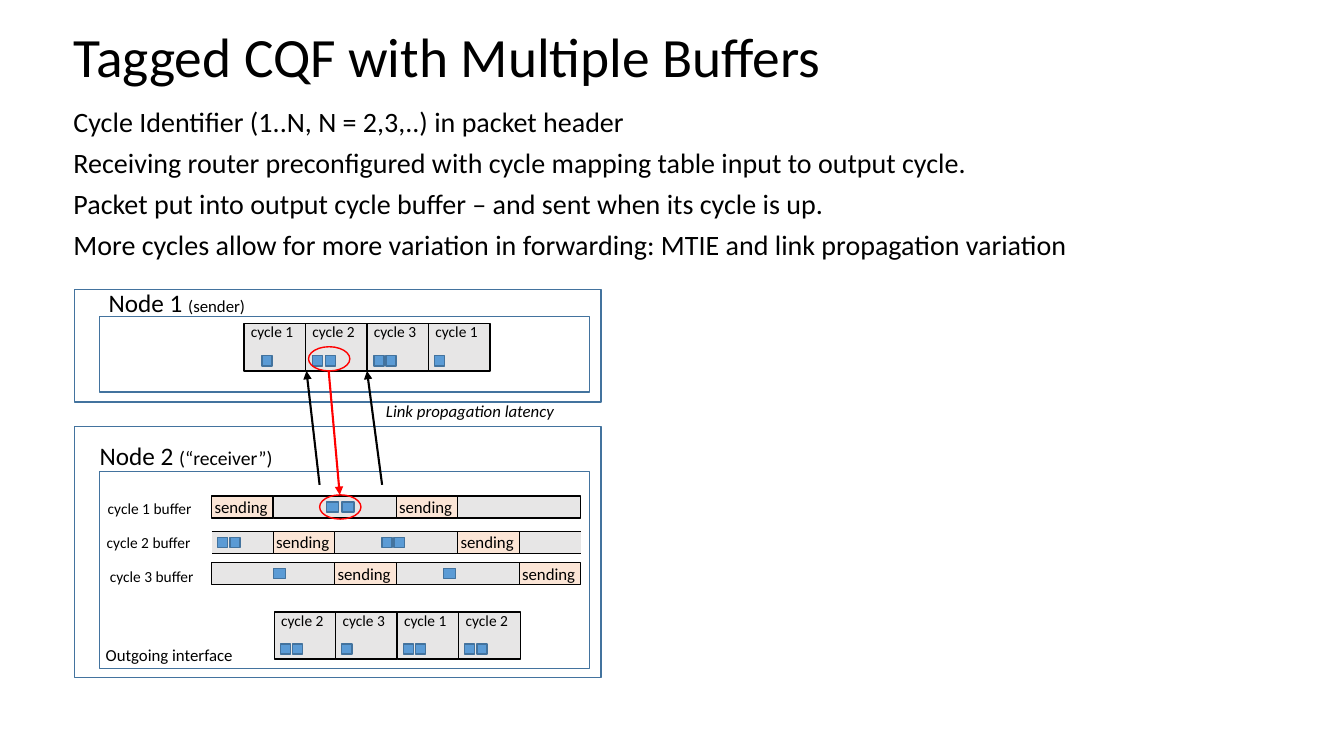
"""Build the slide on tagged CQF with multiple buffers."""
from lxml import etree
from pptx import Presentation
from pptx.dml.color import RGBColor
from pptx.enum.shapes import MSO_CONNECTOR, MSO_SHAPE
from pptx.enum.text import MSO_ANCHOR, MSO_AUTO_SIZE
from pptx.oxml.ns import qn
from pptx.util import Inches, Pt

RECTANGLE = MSO_SHAPE.RECTANGLE
OVAL = MSO_SHAPE.OVAL
STRAIGHT = MSO_CONNECTOR.STRAIGHT
TOP = MSO_ANCHOR.TOP
MIDDLE = MSO_ANCHOR.MIDDLE
GROW = MSO_AUTO_SIZE.SHAPE_TO_FIT_TEXT
FIXED = MSO_AUTO_SIZE.NONE

BLACK = RGBColor(0x00, 0x00, 0x00)
RED = RGBColor(0xFF, 0x00, 0x00)
GREY = RGBColor(0xE7, 0xE6, 0xE6)
PEACH = RGBColor(0xFB, 0xE5, 0xD6)
BLUE = RGBColor(0x5B, 0x9B, 0xD5)
DARK_BLUE = RGBColor(0x43, 0x73, 0x9E)

SLOT = 0.61
BUFFER_LEFT = 2.1
BUFFER_HEIGHT = 0.22

STATEMENTS = [
    "Cycle Identifier (1..N, N = 2,3,..) in packet header",
    "Receiving router preconfigured with cycle mapping table input to output cycle.",
    "Packet put into output cycle buffer – and sent when its cycle is up.",
    "More cycles allow for more variation in forwarding: MTIE and link propagation variation",
]
SENDER_CYCLES = [
    ("cycle 1", [0.18]),
    ("cycle 2", [0.07, 0.2]),
    ("cycle 3", [0.07, 0.19]),
    ("cycle 1", [0.06]),
]
OUTGOING_CYCLES = [
    ("cycle 2", [0.06, 0.18]),
    ("cycle 3", [0.06]),
    ("cycle 1", [0.06, 0.18]),
    ("cycle 2", [0.06, 0.18]),
]
BUFFERS = [
    {"label": "cycle 1 buffer", "label_at": (0.97, 4.9), "top": 4.92, "waiting": [1, 4],
     "sending": [0, 3], "packets": [3.24, 3.39], "packet_width": 0.12},
    {"label": "cycle 2 buffer", "label_at": (0.96, 5.24), "top": 5.27, "waiting": [2],
     "sending": [1, 4], "packets": [2.16, 2.28, 3.79, 3.91], "packet_width": 0.1},
    {"label": "cycle 3 buffer", "label_at": (0.99, 5.58), "top": 5.58, "waiting": [0, 3],
     "sending": [2, 5], "packets": [2.71, 4.4], "packet_width": 0.12},
]


class SlideBuilder:
    """Hold the style and the current slide, and draw its elements."""

    font = "Calibri"

    def __init__(self, slide):
        self.slide = slide

    def text(self, paragraphs, left, top, width, height, *, wrap=False, anchor=TOP,
             line_spacing=None, space_before=None, italic=False):
        """Add a text box; each paragraph is a list of (text, size) runs."""
        shape = self.slide.shapes.add_textbox(
            Inches(left), Inches(top), Inches(width), Inches(height))
        frame = shape.text_frame
        frame.word_wrap = wrap
        frame.auto_size = FIXED if wrap else GROW
        frame.vertical_anchor = anchor
        for index, runs in enumerate(paragraphs):
            paragraph = frame.add_paragraph() if index else frame.paragraphs[0]
            paragraph.line_spacing = line_spacing
            paragraph.space_before = space_before
            for content, size in runs:
                run = paragraph.add_run()
                run.text = content
                run.font.name = self.font
                run.font.size = Pt(size)
                run.font.color.rgb = BLACK
                run.font.italic = italic

    def paint(self, shape, fill, line):
        """Set the fill and outline of a shape."""
        shape.shadow.inherit = False
        if fill is None:
            shape.fill.background()
        else:
            shape.fill.solid()
            shape.fill.fore_color.rgb = fill
        shape.line.color.rgb = line
        shape.line.width = Pt(1)

    def shape(self, left, top, width, height, fill=None, line=BLACK, kind=RECTANGLE):
        """Add a preset shape."""
        shape = self.slide.shapes.add_shape(
            kind, Inches(left), Inches(top), Inches(width), Inches(height))
        self.paint(shape, fill, line)

    def open_box(self, open_side, closed_side, top):
        """Add a buffer section without an outline on one side."""
        bottom = top + BUFFER_HEIGHT
        builder = self.slide.shapes.build_freeform(Inches(open_side), Inches(top))
        builder.add_line_segments(
            [(Inches(x), Inches(y)) for x, y in
             [(closed_side, top), (closed_side, bottom), (open_side, bottom)]],
            close=False)
        self.paint(builder.convert_to_shape(), GREY, BLACK)

    def arrow(self, start, end, color=BLACK):
        """Add a straight arrow."""
        connector = self.slide.shapes.add_connector(
            STRAIGHT, *(Inches(value) for value in (*start, *end)))
        connector.line.color.rgb = color
        connector.line.width = Pt(1.5)
        line = connector.line._get_or_add_ln()
        etree.SubElement(line, qn("a:tailEnd"), type="triangle")
        etree.SubElement(connector._element.spPr, qn("a:effectLst"))

    def packets(self, lefts, top, width=0.1):
        """Add a row of packets."""
        for left in lefts:
            self.shape(left, top, width, 0.1, BLUE, DARK_BLUE)

    def cycles(self, left, top, cycles):
        """Add a sequence of cycles with their packets."""
        for index, (name, offsets) in enumerate(cycles):
            cycle_left = left + index * SLOT
            self.shape(cycle_left, top, SLOT, 0.47, GREY)
            self.packets([cycle_left + offset for offset in offsets], top + 0.32)
            self.text([[(name, 11)]], cycle_left - 0.03, top - 0.06, 0.63, 0.29)

    def buffer(self, label, label_at, top, waiting, sending, packets, packet_width):
        """Add one cycle buffer with its waiting and sending slots."""
        self.text([[(label, 11)]], *label_at, 1.05, 0.29)
        for slot in waiting:
            self.shape(BUFFER_LEFT + slot * SLOT, top, 2 * SLOT, BUFFER_HEIGHT, GREY)
        for slot in sending:
            left = BUFFER_LEFT + slot * SLOT
            self.shape(left, top, SLOT, BUFFER_HEIGHT, PEACH)
            self.text([[("sending", 12)]], left - 0.07, top - 0.04, 0.73, 0.3)
        self.packets(packets, top + 0.06, packet_width)


def main():
    """Draw the slide and save it."""
    presentation = Presentation()
    presentation.slide_width = Inches(13.33)
    presentation.slide_height = Inches(7.5)
    builder = SlideBuilder(presentation.slides.add_slide(presentation.slide_layouts[6]))

    builder.text([[("Tagged CQF with Multiple Buffers", 39.6)]], 0.63, 0.26, 11.5, 0.66,
                 wrap=True, anchor=MIDDLE, line_spacing=0.9)
    builder.text([[(statement, 20)] for statement in STATEMENTS], 0.63, 1.05, 11.78, 1.69,
                 wrap=True, line_spacing=0.8, space_before=Pt(10))

    for top, height, inner_top, inner_height in [(2.87, 1.12, 3.14, 0.75),
                                                 (4.23, 2.49, 4.68, 1.95)]:
        builder.shape(0.74, top, 5.22, height, line=DARK_BLUE)
        builder.shape(0.99, inner_top, 4.86, inner_height, line=DARK_BLUE)
    builder.text([[("Node 1 ", 18), ("(sender)", 12)]], 0.98, 2.8, 1.57, 0.4)
    builder.text([[("Node 2 ", 18), ("(“receiver”)", 14)]], 0.89, 4.32, 1.93, 0.4)
    builder.text([[("Outgoing interface", 12)]], 0.95, 6.35, 1.47, 0.3)
    builder.text([[("Link propagation latency", 12)]], 3.73, 3.93, 1.88, 0.3, italic=True)

    builder.cycles(2.42, 3.21, SENDER_CYCLES)
    builder.cycles(2.72, 6.07, OUTGOING_CYCLES)
    builder.open_box(BUFFER_LEFT, BUFFER_LEFT + SLOT, 5.27)
    builder.open_box(BUFFER_LEFT + 6 * SLOT, BUFFER_LEFT + 5 * SLOT, 5.27)
    for buffer in BUFFERS:
        builder.buffer(**buffer)

    builder.arrow((3.17, 4.81), (3.04, 3.68))
    builder.arrow((3.79, 4.81), (3.64, 3.68))
    builder.shape(3.06, 3.44, 0.41, 0.24, line=RED, kind=OVAL)
    builder.shape(3.17, 4.91, 0.41, 0.24, line=RED, kind=OVAL)
    builder.arrow((3.26, 3.68), (3.37, 4.91), RED)

    presentation.save("out.pptx")


if __name__ == "__main__":
    main()
